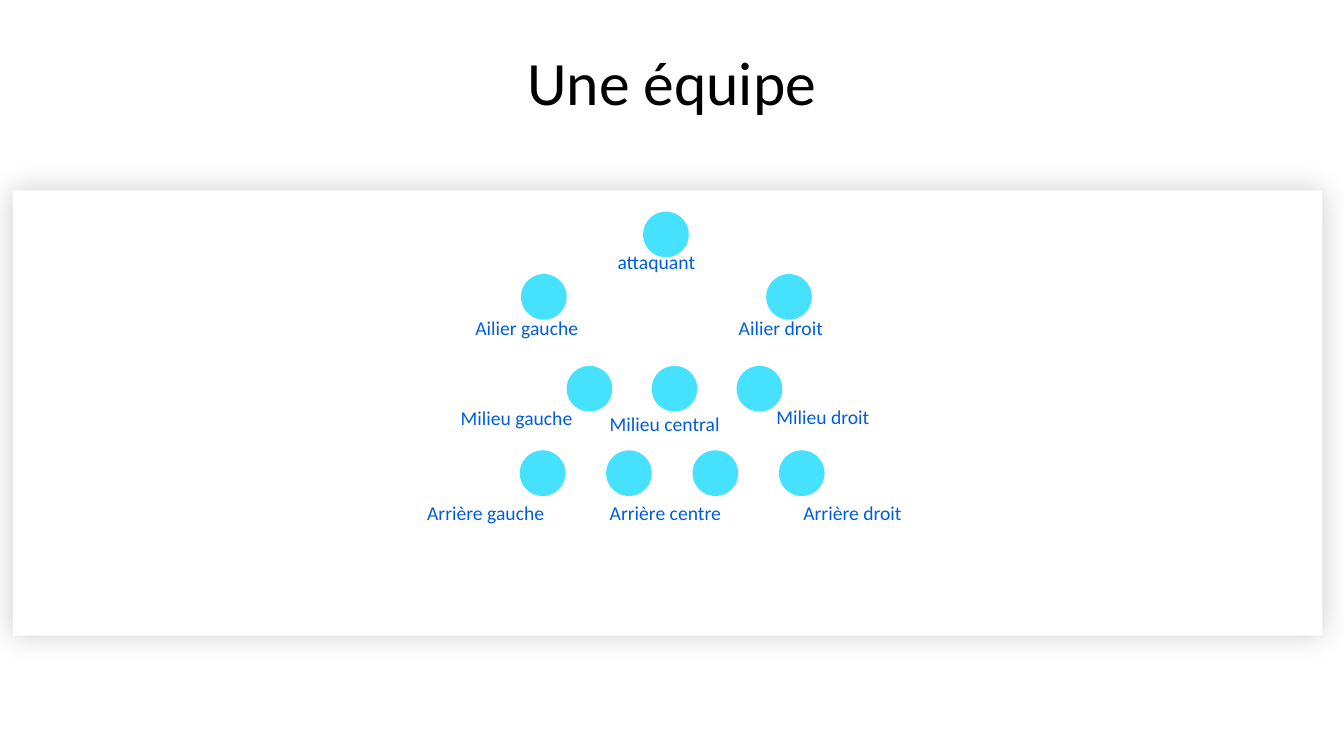
from dataclasses import dataclass

from lxml import etree
from pptx import Presentation
from pptx.dml.color import RGBColor
from pptx.enum.shapes import MSO_SHAPE
from pptx.enum.text import MSO_ANCHOR, MSO_AUTO_SIZE, PP_ALIGN
from pptx.oxml.ns import qn
from pptx.util import Pt

RECT, OVAL = MSO_SHAPE.RECTANGLE, MSO_SHAPE.OVAL
LEFT, CENTER = PP_ALIGN.LEFT, PP_ALIGN.CENTER
TOP, MIDDLE = MSO_ANCHOR.TOP, MSO_ANCHOR.MIDDLE
GROW, FIXED = MSO_AUTO_SIZE.SHAPE_TO_FIT_TEXT, MSO_AUTO_SIZE.NONE


@dataclass(frozen=True)
class Theme:
    font: str = "Calibri"
    title: float = 44
    label: float = 14
    ink: str = "000000"
    blue: str = "015DE0"
    cyan: str = "46E1FE"
    white: str = "FFFFFF"


@dataclass(frozen=True)
class Box:
    left: float
    top: float
    width: float
    height: float

    def lengths(self) -> tuple[Pt, Pt, Pt, Pt]:
        return Pt(self.left), Pt(self.top), Pt(self.width), Pt(self.height)


@dataclass(frozen=True)
class Row:
    """Players side by side; step runs from one left edge to the next."""
    left: float
    top: float
    count: int
    step: float = 0


@dataclass(frozen=True)
class Label:
    text: str
    left: float
    top: float
    width: float


THEME = Theme()
SIZE = 32.6
LABEL_H = 24.24
BACK = 354.25
CARD = Box(9.2, 136.1, 935.5, 318)
TITLE = Box(66, 29, 828, 64.8)

ROWS = [
    Row(459.4, 151.2, 1),
    Row(372.2, 195.8, 2, 175.1),
    Row(404.8, 261.4, 3, 60.7),
    Row(371.3, 321.7, 4, 61.7),
]

LABELS = [
    Label("attaquant", 434, 175.3, 71),
    Label("Ailier droit", 520.6, 222, 75.4),
    Label("Ailier gauche", 332.4, 222, 88.8),
    Label("Milieu central", 428.4, 290.8, 94.2),
    Label("Milieu droit", 547.4, 286, 82),
    Label("Milieu gauche", 321.9, 286.6, 95),
    Label("Arrière centre", 428.4, BACK, 94.7),
    Label("Arrière droit", 566.7, BACK, 85.6),
    Label("Arrière gauche", 298, BACK, 99.3),
]


def add_form(shapes, kind: MSO_SHAPE, box: Box, color: str):
    form = shapes.add_shape(kind, *box.lengths())
    form.shadow.inherit = False
    form.fill.solid()
    form.fill.fore_color.rgb = RGBColor.from_string(color)
    form.line.fill.background()
    return form


def add_glow(form, blur: float, alpha: int) -> None:
    """Give the form a soft black shadow on all sides."""
    effects = form.element.spPr.find(qn("a:effectLst"))
    shade = etree.SubElement(effects, qn("a:outerShdw"), blurRad=str(Pt(blur)),
                             dist="0", dir="0", algn="ctr", rotWithShape="0")
    color = etree.SubElement(shade, qn("a:srgbClr"), val=THEME.ink)
    etree.SubElement(color, qn("a:alpha"), val=str(alpha * 1000))


def add_text(shapes, text: str, box: Box, *, size: float, color: str,
             align: PP_ALIGN = LEFT, anchor: MSO_ANCHOR = TOP,
             wrap: bool = False, fit: MSO_AUTO_SIZE = GROW,
             spacing: float = 1.0) -> None:
    frame = shapes.add_textbox(*box.lengths()).text_frame
    frame.word_wrap = wrap
    frame.auto_size = fit
    frame.vertical_anchor = anchor
    para = frame.paragraphs[0]
    para.alignment = align
    para.line_spacing = spacing
    run = para.add_run()
    run.text = text
    run.font.name = THEME.font
    run.font.size = Pt(size)
    run.font.color.rgb = RGBColor.from_string(color)


def add_team(shapes, rows: list[Row]) -> None:
    team = shapes.add_group_shape()
    for row in rows:
        for rank in range(row.count):
            spot = Box(row.left + rank * row.step, row.top, SIZE, SIZE)
            add_form(team.shapes, OVAL, spot, THEME.cyan)


def main() -> None:
    deck = Presentation()
    deck.slide_width, deck.slide_height = Pt(960), Pt(540)
    shapes = deck.slides.add_slide(deck.slide_layouts[6]).shapes

    add_glow(add_form(shapes, RECT, CARD, THEME.white), blur=20, alpha=20)
    add_text(shapes, "Une équipe", TITLE, size=THEME.title, color=THEME.ink,
             align=CENTER, anchor=MIDDLE, wrap=True, fit=FIXED, spacing=0.9)
    add_team(shapes, ROWS)
    for label in LABELS:
        box = Box(label.left, label.top, label.width, LABEL_H)
        add_text(shapes, label.text, box, size=THEME.label, color=THEME.blue)

    deck.save("out.pptx")


if __name__ == "__main__":
    main()
